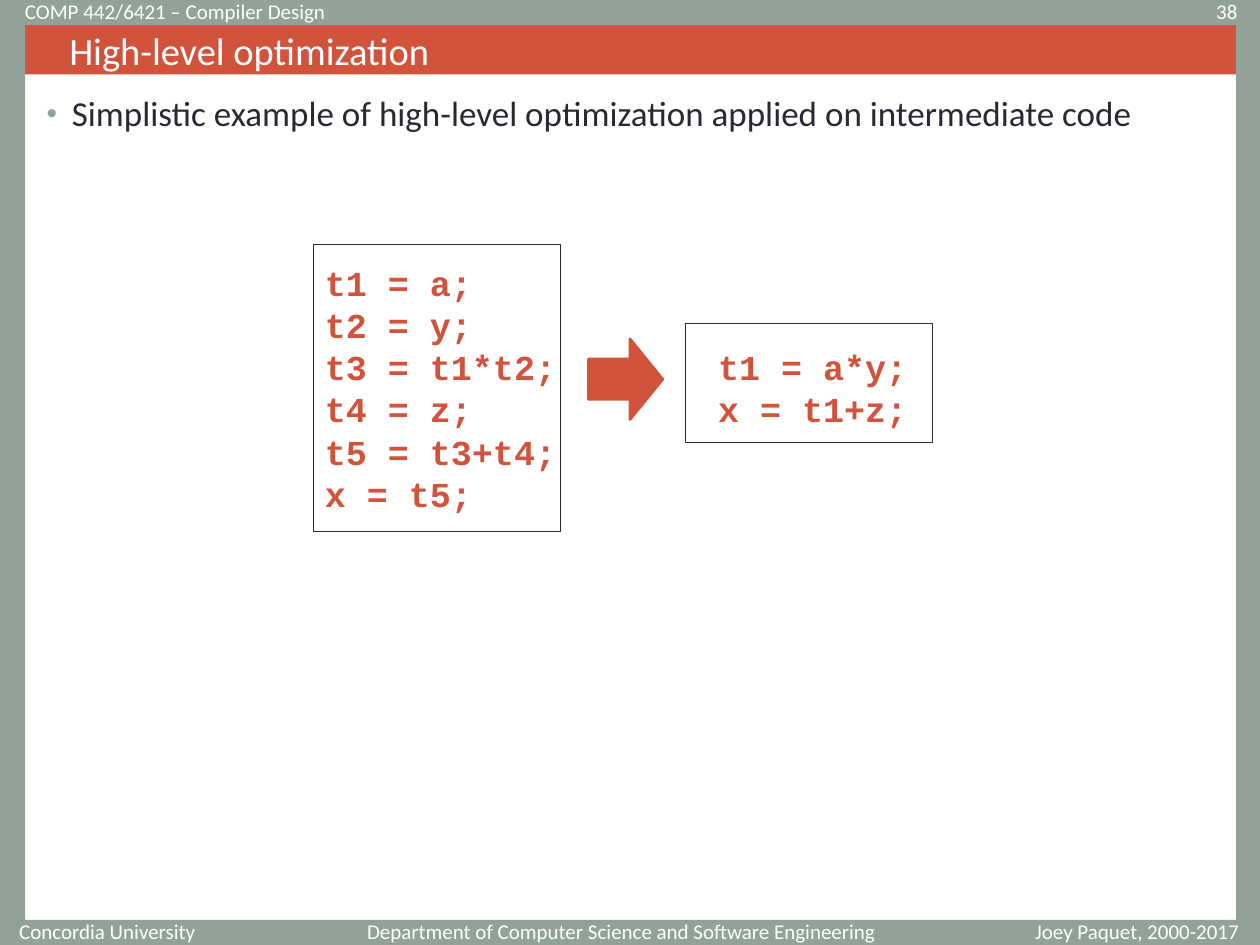
from dataclasses import dataclass

from lxml.etree import SubElement
from pptx import Presentation
from pptx.dml.color import RGBColor
from pptx.enum.shapes import MSO_SHAPE as Shape
from pptx.enum.text import MSO_ANCHOR as Anchor, MSO_AUTO_SIZE as AutoSize, PP_ALIGN as Align
from pptx.oxml.ns import qn
from pptx.util import Inches, Pt


@dataclass(frozen=True)
class Theme:
    frame: str = "93A299"
    accent: str = "D2533C"
    ink: str = "292934"
    paper: str = "FFFFFF"
    body_font: str = "Calibri"
    code_font: str = "Courier New"
    title_size: int = 22
    body_size: int = 20
    footer_size: int = 12


theme = Theme()


def write_text(shape, text, *, size, color, font=theme.body_font, bold=False,
               align=Align.LEFT, anchor=Anchor.TOP, wrap=True,
               auto_size=AutoSize.NONE, indent=0, hanging=0, bullet=None):
    frame = shape.text_frame
    frame.word_wrap = wrap
    frame.auto_size = auto_size
    frame.vertical_anchor = anchor
    frame.text = text
    for paragraph in frame.paragraphs:
        properties = paragraph._p.get_or_add_pPr()
        properties.set("marL", str(Inches(indent)))
        properties.set("indent", str(Inches(-hanging)))
        if bullet:
            bullet_color = SubElement(properties, qn("a:buClr"))
            SubElement(bullet_color, qn("a:srgbClr"), val=theme.frame)
            SubElement(properties, qn("a:buSzPct"), val="85000")
            SubElement(properties, qn("a:buFont"), typeface="Arial")
            SubElement(properties, qn("a:buChar"), char=bullet)
        paragraph.alignment = align
        paragraph.space_before = Pt(0)
        paragraph.font.name = font
        paragraph.font.size = Pt(size)
        paragraph.font.bold = bold
        paragraph.font.color.rgb = RGBColor.from_string(color)


def add_block(kind, left, top, width, height, fill=None, line=None, line_width=0.75):
    shape = slide.shapes.add_shape(
        kind, Inches(left), Inches(top), Inches(width), Inches(height))
    shape.shadow.inherit = False
    for target, color in ((shape.fill, fill), (shape.line.fill, line)):
        if color:
            target.solid()
            target.fore_color.rgb = RGBColor.from_string(color)
        else:
            target.background()
    if line:
        shape.line.width = Pt(line_width)
    return shape


presentation = Presentation()
presentation.slide_width = Inches(10)
presentation.slide_height = Inches(7.5)
slide = presentation.slides.add_slide(presentation.slide_layouts[1])
slide.background.fill.solid()
slide.background.fill.fore_color.rgb = RGBColor.from_string(theme.paper)

frame_bars = [
    (0, 0, 10, 0.2),
    (0, 7.3, 10, 0.2),
    (0, 0, 0.2, 7.44),
    (9.81, 0.18, 0.19, 7.32),
]
for bar in frame_bars:
    add_block(Shape.RECTANGLE, *bar, fill=theme.frame)

title = slide.shapes.title
title.left, title.top = Inches(0.2), Inches(0.2)
title.width, title.height = Inches(9.62), Inches(0.39)
title.fill.solid()
title.fill.fore_color.rgb = RGBColor.from_string(theme.accent)
write_text(title, "High-level optimization", size=theme.title_size,
           color=theme.paper, anchor=Anchor.MIDDLE, indent=0.25)

body = slide.placeholders[1]
body.left, body.top = Inches(0.27), Inches(0.68)
body.width, body.height = Inches(9.45), Inches(6.54)
write_text(body, "Simplistic example of high-level optimization applied on intermediate code",
           size=theme.body_size, color=theme.ink, indent=0.2, hanging=0.2, bullet="•")

header_top, footer_top = 0.03, 7.33
margin_texts = [
    ("Concordia University", 0, footer_top, 1.65, Align.RIGHT),
    ("Department of Computer Science and Software Engineering", 2.8, footer_top, 4.25, Align.RIGHT),
    ("Joey Paquet, 2000-2017", 7.99, footer_top, 2.07, Align.CENTER),
    ("38", 8.75, header_top, 1.17, Align.RIGHT),
    ("COMP 442/6421 – Compiler Design", 0.1, header_top, 5.6, Align.LEFT),
]
for text, left, top, width, align in margin_texts:
    box = slide.shapes.add_textbox(Inches(left), Inches(top), Inches(width), Inches(0.12))
    write_text(box, text, size=theme.footer_size, color=theme.paper,
               align=align, anchor=Anchor.MIDDLE)

original_code = "t1 = a;\nt2 = y;\nt3 = t1*t2;\nt4 = z;\nt5 = t3+t4;\nx = t5;"
optimized_code = "t1 = a*y;\nx = t1+z;"
code_panels = [
    (original_code, (2.49, 1.94, 1.96, 2.28), (2.48, 2.03, 2.04, 2.1)),
    (optimized_code, (5.44, 2.57, 1.96, 0.94), (5.6, 2.69, 1.71, 0.77)),
]
for code, outline, area in code_panels:
    add_block(Shape.RECTANGLE, *outline, line=theme.ink)
    box = slide.shapes.add_textbox(*map(Inches, area))
    write_text(box, code, size=theme.body_size, color=theme.accent, font=theme.code_font,
               bold=True, wrap=False, auto_size=AutoSize.SHAPE_TO_FIT_TEXT)

arrow = add_block(Shape.RIGHT_ARROW, 4.67, 2.69, 0.59, 0.64,
                  fill=theme.accent, line=theme.accent, line_width=1.5)
arrow.adjustments[0] = 0.5
arrow.adjustments[1] = 0.44

presentation.save("out.pptx")
